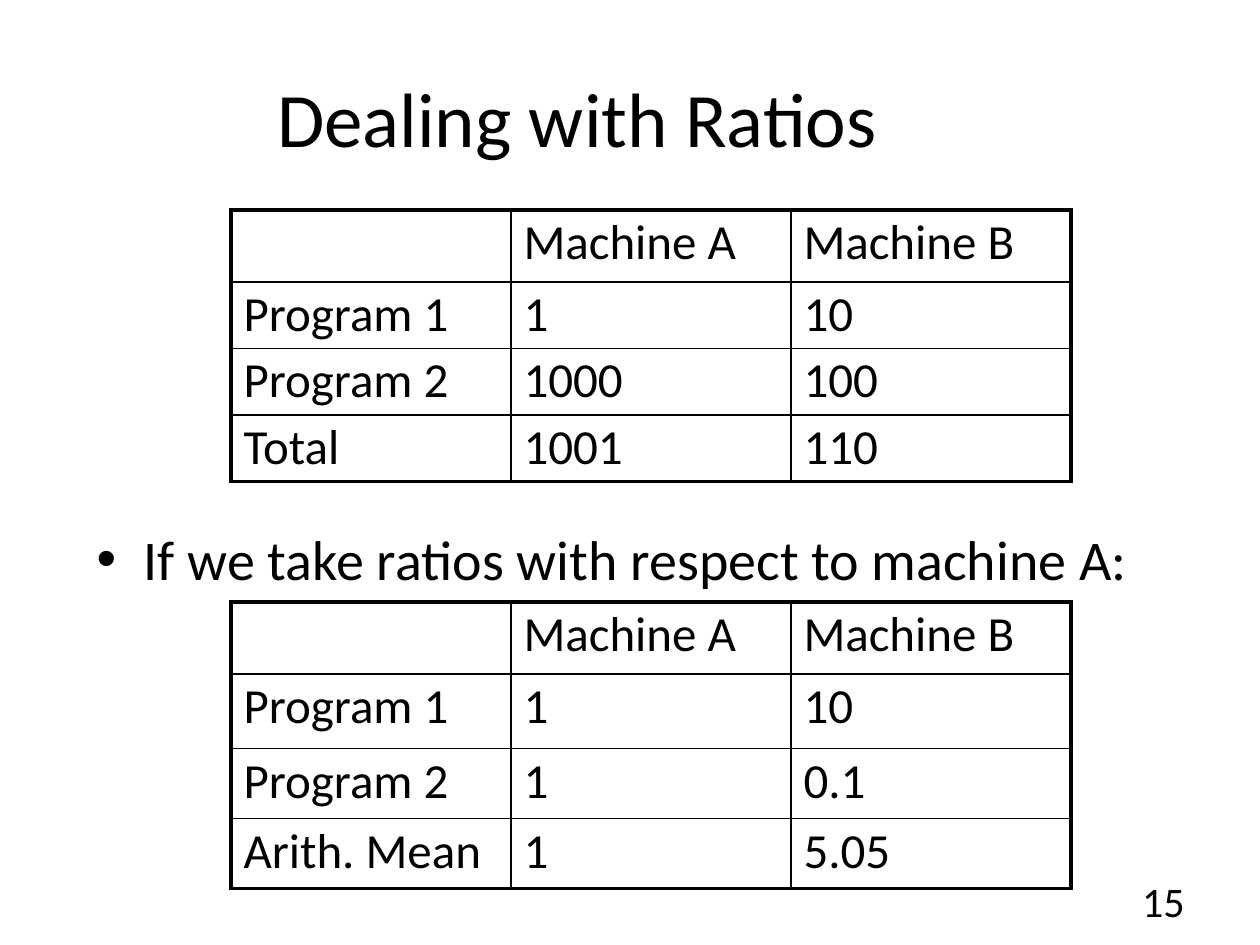
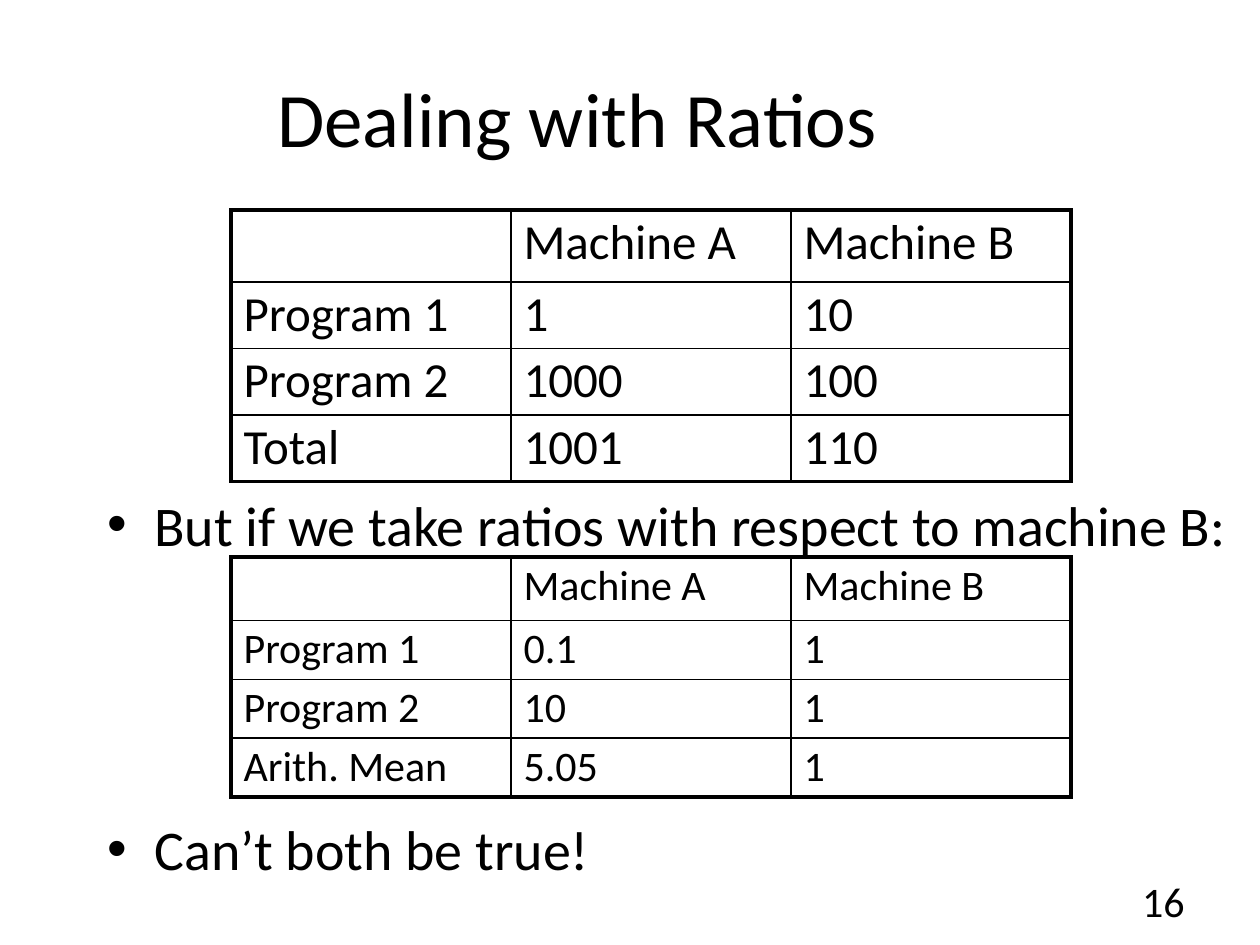
from lxml import etree
from pptx import Presentation
from pptx.dml.color import RGBColor
from pptx.enum.text import MSO_ANCHOR, MSO_AUTO_SIZE, PP_ALIGN
from pptx.oxml import parse_xml
from pptx.oxml.ns import nsdecls, qn
from pptx.util import Pt

COLOURS = {"ink": "000000", "paper": "FFFFFF"}
FONT = "Calibri"
THIN, THICK = 1, 2.25

# Boxes are left, top, width, height in points
TITLE_BOX = (36, 21.6, 588, 90)
NUMBER_BOX = (600, 500.4, 84, 28.8)
TABLE_LEFT, COLUMN_WIDTH = 132, 160

HEADER = ["", "Machine A", "Machine B"]
TIMES = [
    HEADER,
    ["Program 1", "1", "10"],
    ["Program 2", "1000", "100"],
    ["Total", "1001", "110"],
]
RATIOS_TO_A = [
    HEADER,
    ["Program 1", "1", "10"],
    ["Program 2", "1", "0.1"],
    ["Arith. Mean", "1", "5.05"],
]
RATIOS_TO_B = [
    HEADER,
    ["Program 1", "0.1", "1"],
    ["Program 2", "10", "1"],
    ["Arith. Mean", "5.05", "1"],
]


def format_runs(paragraph, size):
    for span in paragraph.runs:
        span.font.name = FONT
        span.font.size = Pt(size)
        span.font.bold = False
        span.font.color.rgb = RGBColor.from_string(COLOURS["ink"])


def place(shape, box):
    shape.left, shape.top, shape.width, shape.height = map(Pt, box)


def add_title(page, box, text):
    title = page.shapes.title
    place(title, box)
    frame = title.text_frame
    frame.text = text
    frame.auto_size = MSO_AUTO_SIZE.NONE
    frame.vertical_anchor = MSO_ANCHOR.MIDDLE
    frame.paragraphs[0].alignment = PP_ALIGN.CENTER
    format_runs(frame.paragraphs[0], 44)


def add_bullets(page, box, lines, line_spacing=1.0, gap=0):
    body = page.placeholders[1]
    place(body, box)
    frame = body.text_frame
    frame.text = "\n".join(lines)
    frame.auto_size = MSO_AUTO_SIZE.NONE
    frame.vertical_anchor = MSO_ANCHOR.TOP
    for index, paragraph in enumerate(frame.paragraphs):
        paragraph.line_spacing = line_spacing
        paragraph.space_before = Pt(gap if index else 0)
        format_runs(paragraph, 32)


def add_border(cell, side, width):
    properties = cell._tc.get_or_add_tcPr()
    line = parse_xml(f'<a:ln{side} {nsdecls("a")} w="{int(Pt(width))}"/>')
    fill = etree.SubElement(line, qn("a:solidFill"))
    etree.SubElement(fill, qn("a:srgbClr"), val=COLOURS["ink"])
    properties.append(line)


def add_grid(page, top, rows, row_heights, size):
    """Table with a thick frame and thin inner lines."""
    columns = len(rows[0])
    box = (TABLE_LEFT, top, COLUMN_WIDTH * columns, sum(row_heights))
    table = page.shapes.add_table(len(rows), columns, *map(Pt, box)).table
    table.first_row = table.horz_banding = False
    for column in table.columns:
        column.width = Pt(COLUMN_WIDTH)
    for r, (values, height) in enumerate(zip(rows, row_heights)):
        table.rows[r].height = Pt(height)
        for c, value in enumerate(values):
            cell = table.cell(r, c)
            on_frame = {"L": c == 0, "R": c == columns - 1,
                        "T": r == 0, "B": r == len(rows) - 1}
            for side, outer in on_frame.items():
                add_border(cell, side, THICK if outer else THIN)
            cell.fill.background()
            if value:
                cell.text_frame.text = value
                paragraph = cell.text_frame.paragraphs[0]
                paragraph.line_spacing = 0.9
                format_runs(paragraph, size)


def add_page_number(page, box, number):
    frame = page.shapes.add_textbox(*map(Pt, box)).text_frame
    frame.word_wrap = True
    frame.vertical_anchor = MSO_ANCHOR.MIDDLE
    frame.text = str(number)
    frame.paragraphs[0].alignment = PP_ALIGN.RIGHT
    format_runs(frame.paragraphs[0], 24)


def add_ratio_page(deck, number):
    """Everything the pages share: title, table of times, page number."""
    page = deck.slides.add_slide(deck.slide_layouts[1])
    page.background.fill.solid()
    page.background.fill.fore_color.rgb = RGBColor.from_string(COLOURS["paper"])
    add_title(page, TITLE_BOX, "Dealing with Ratios")
    add_grid(page, 120, TIMES, [41.2, 38, 38, 38], 28)
    add_page_number(page, NUMBER_BOX, number)
    return page


def main():
    deck = Presentation()
    deck.slide_width, deck.slide_height = Pt(720), Pt(540)

    # Ratios to machine A
    page = add_ratio_page(deck, 15)
    add_bullets(page, (48, 296, 612, 54),
                ["If we take ratios with respect to machine A:"])
    add_grid(page, 344, RATIOS_TO_A, [41.2, 42.6, 40, 40], 28)

    # Ratios to machine B
    page = add_ratio_page(deck, 16)
    add_bullets(page, (54, 284, 660, 225),
                ["But if we take ratios with respect to machine B:",
                 "Can’t both be true!"],
                line_spacing=0.8, gap=154.5)
    add_grid(page, 318.2, RATIOS_TO_B, [36.4, 33.6, 33.6, 33.6], 24)

    deck.save("out.pptx")


if __name__ == "__main__":
    main()
